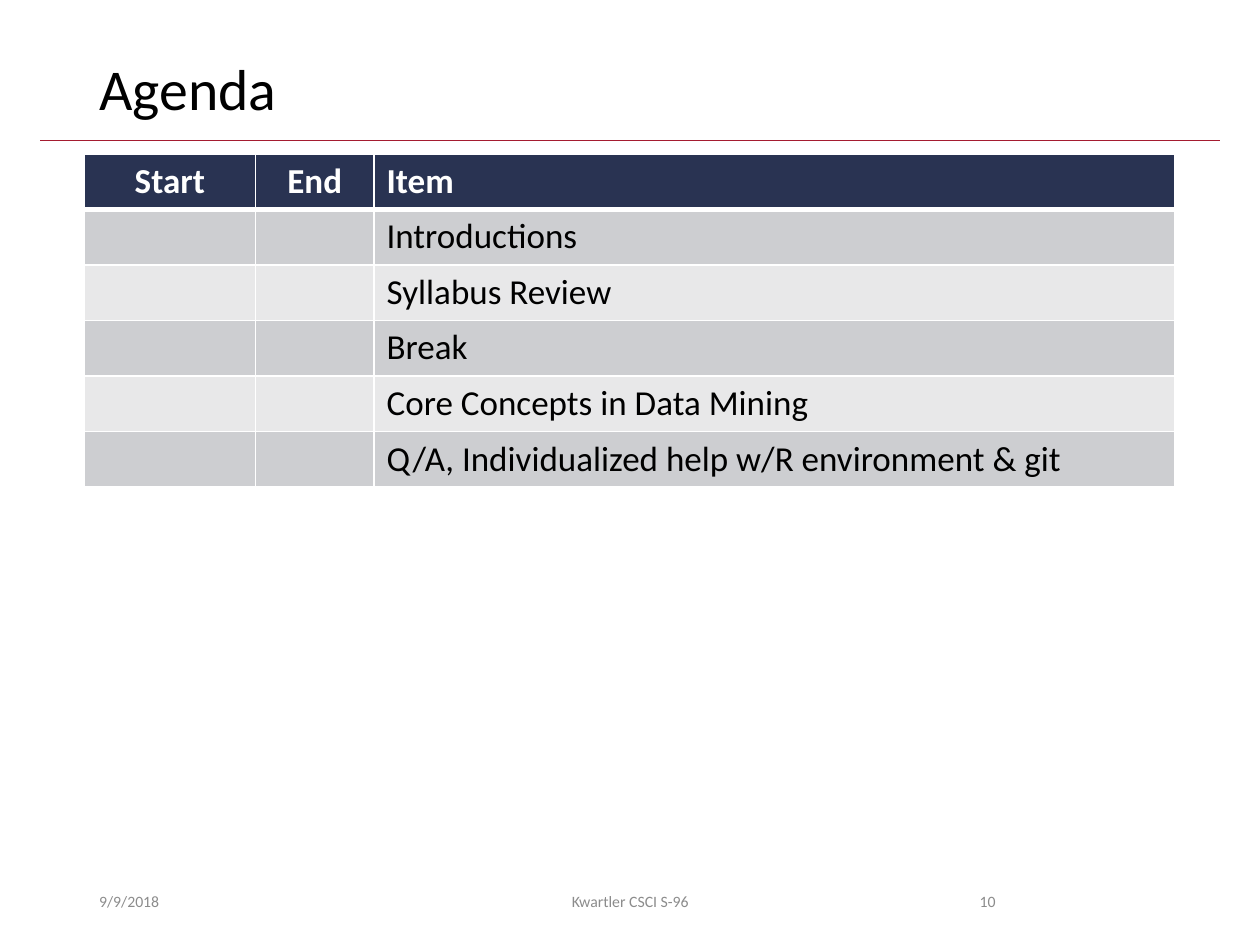
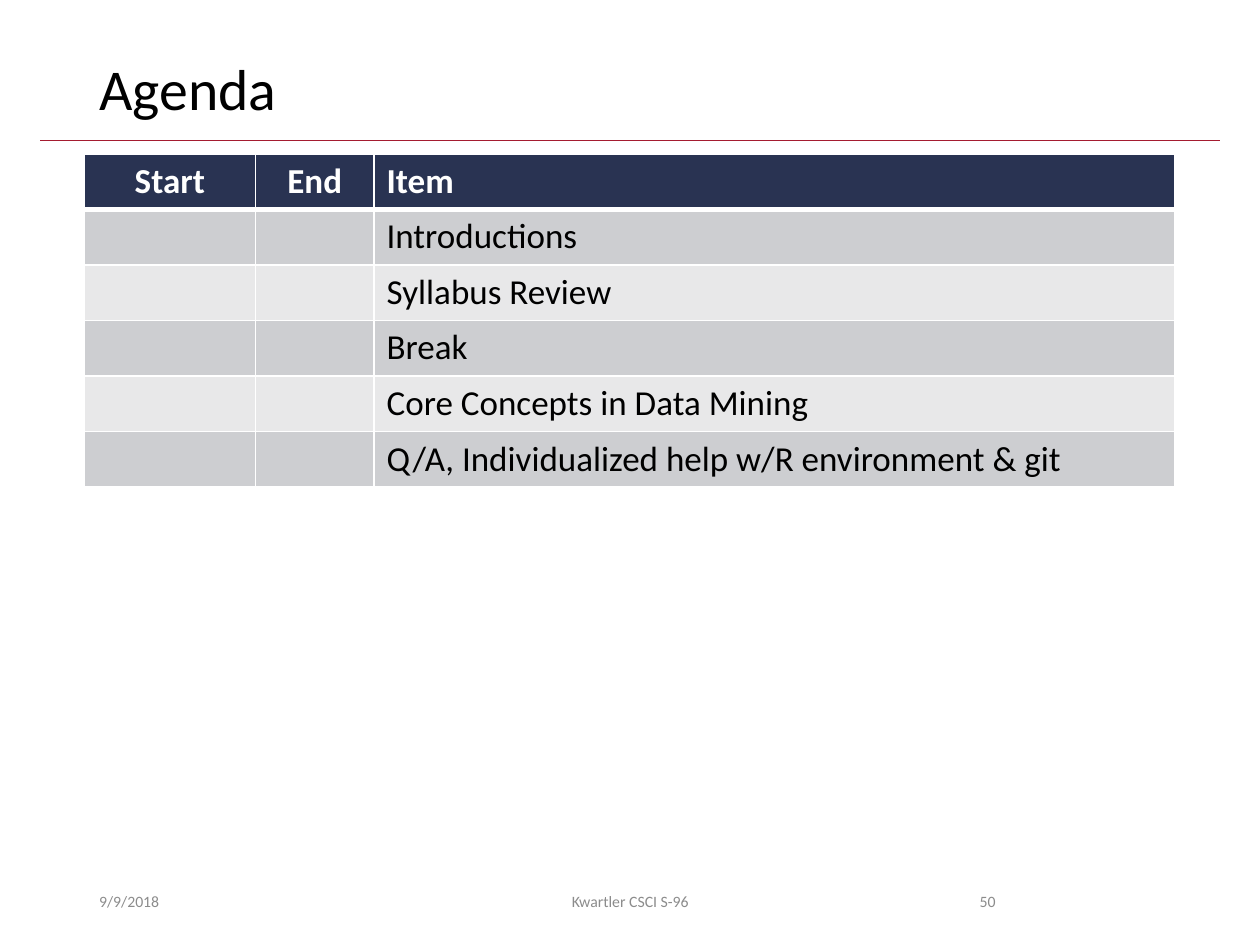
from lxml.etree import SubElement as Sub
from pptx import Presentation
from pptx.dml.color import RGBColor as Rgb
from pptx.enum.shapes import MSO_CONNECTOR as Link
from pptx.enum.text import MSO_ANCHOR as Anchor, MSO_AUTO_SIZE as Fit, PP_ALIGN as Align
from pptx.oxml import parse_xml
from pptx.oxml.ns import nsdecls, qn
from pptx.util import Cm, Pt

HUES = {
    "rule": "A51C30",
    "head": "293352",
    "odd": "CDCED1",
    "even": "E8E8E9",
    "white": "FFFFFF",
    "black": "000000",
    "gray": "8C8C8C",
}
PAGES = ["10", "50"]
ROWS = [
    ("Start", "End", "Item"),
    ("", "", "Introductions"),
    ("", "", "Syllabus Review"),
    ("", "", "Break"),
    ("", "", "Core Concepts in Data Mining"),
    ("", "", "Q/A, Individualized help w/R environment & git"),
]
WIDTHS = [3.45, 2.39, 16.15]
HIGH = 1.1
FEET = [
    ("9/9/2018", 1.75, 5.72, Align.LEFT),
    ("Kwartler CSCI S-96", 8.41, 8.59, Align.CENTER),
    (None, 17.93, 2.39, Align.RIGHT),
]


def style(para, size, hue, align=Align.LEFT, bold=False):
    para.alignment = align
    looks = {"name": "Calibri", "size": Pt(size), "bold": bold}
    for key, value in looks.items():
        setattr(para.font, key, value)
    para.font.color.rgb = Rgb.from_string(HUES[hue])


def edge(cell, low):
    props = cell._tc.get_or_add_tcPr()
    for spot, side in enumerate("LRTB"):
        wide = Pt(low if side == "B" else 1)
        line = parse_xml(f'<a:ln{side} {nsdecls("a")} w="{wide}"/>')
        fill = Sub(line, qn("a:solidFill"))
        Sub(fill, qn("a:srgbClr"), val=HUES["white"])
        props.insert(spot, line)


deck = Presentation()
deck.slide_width, deck.slide_height = Cm(25.4), Cm(19.05)

for page in PAGES:
    slide = deck.slides.add_slide(deck.slide_layouts[5])

    rule = slide.shapes.add_connector(Link.STRAIGHT, Cm(0.81), Cm(2.84), Cm(24.59), Cm(2.84))
    rule.line.color.rgb = Rgb.from_string(HUES["rule"])
    rule.line.width = Pt(0.5)
    Sub(rule._element.spPr, qn("a:effectLst"))

    title = slide.shapes.title
    place = {"left": 1.75, "top": 1.02, "width": 21.9, "height": 1.65}
    for key, value in place.items():
        setattr(title, key, Cm(value))
    frame = title.text_frame
    frame.text = "Agenda"
    frame.auto_size = Fit.NONE
    frame.vertical_anchor = Anchor.MIDDLE
    frame.paragraphs[0].line_spacing = 0.9
    style(frame.paragraphs[0], 33, "black")

    table = slide.shapes.add_table(
        len(ROWS), len(WIDTHS), Cm(1.7), Cm(3.1), Cm(sum(WIDTHS)), Cm(HIGH * len(ROWS))
    ).table
    for col, width in zip(table.columns, WIDTHS):
        col.width = Cm(width)
    for r, row in enumerate(ROWS):
        top = r == 0
        band = "head" if top else "odd" if r % 2 else "even"
        for c, text in enumerate(row):
            cell = table.cell(r, c)
            cell.text = text
            cell.fill.solid()
            cell.fill.fore_color.rgb = Rgb.from_string(HUES[band])
            edge(cell, 3 if top else 1)
            align = Align.CENTER if c < 2 else Align.LEFT
            style(cell.text_frame.paragraphs[0], 20, "white" if top else "black", align, top)

    for text, left, width, align in FEET:
        box = slide.shapes.add_textbox(Cm(left), Cm(17.65), Cm(width), Cm(1.02))
        frame = box.text_frame
        frame.word_wrap = True
        frame.vertical_anchor = Anchor.MIDDLE
        frame.text = text or page
        style(frame.paragraphs[0], 9, "gray", align)

deck.save("out.pptx")
